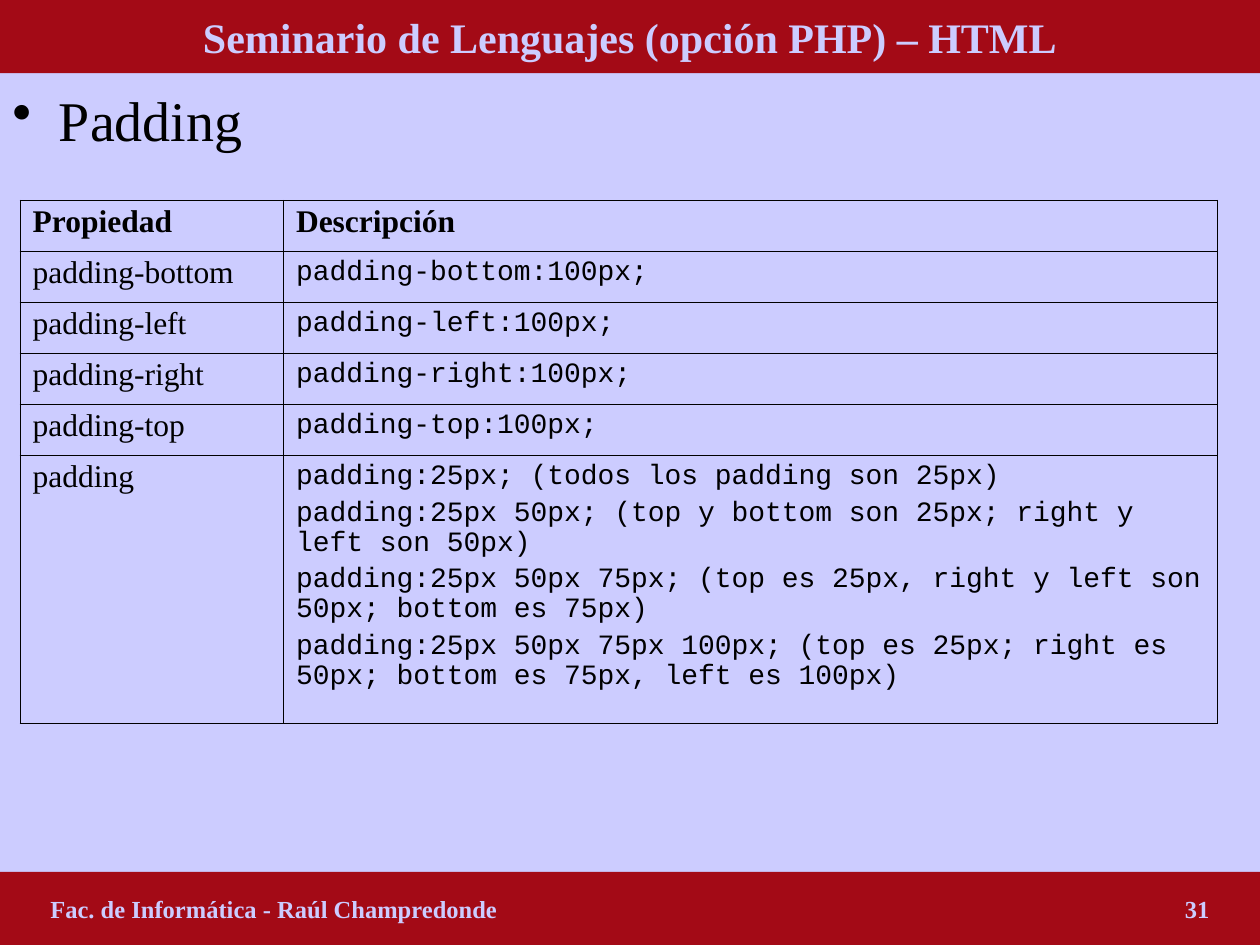
import pptx
import pptx.dml.color
import pptx.enum.shapes
import pptx.enum.text
import pptx.oxml
import pptx.oxml.ns
import pptx.util

Inches = pptx.util.Inches
Pt = pptx.util.Pt
ANCHOR = pptx.enum.text.MSO_ANCHOR
ALIGN = pptx.enum.text.PP_ALIGN

EXAMPLES = [
    "padding:25px; (todos los padding son 25px)",
    "padding:25px 50px; (top y bottom son 25px; right y left son 50px)",
    "padding:25px 50px 75px; (top es 25px, right y left son 50px; bottom es 75px)",
    "padding:25px 50px 75px 100px; (top es 25px; right es 50px; "
    "bottom es 75px, left es 100px)",
]
SIDES = ["bottom", "left", "right", "top"]
PROPERTIES = [(f"padding-{side}", [f"padding-{side}:100px;"]) for side in SIDES]
PROPERTIES.append(("padding", EXAMPLES))


def color(hex_value):
    return pptx.dml.color.RGBColor.from_string(hex_value)


def append_xml(parent, xml):
    namespace = pptx.oxml.ns.nsdecls("a")
    parent.append(pptx.oxml.parse_xml(xml.replace(" ", f" {namespace} ", 1)))


def write(frame, *lines, size, ink="000000", font="Times New Roman", bold=False,
          align=ALIGN.LEFT, spacing=None, before=0, bullet_indent=None, right_tab=None):
    """Fill a text frame with one paragraph per line."""
    frame.word_wrap = True
    for index, line in enumerate(lines):
        paragraph = frame.add_paragraph() if index else frame.paragraphs[0]
        paragraph.alignment = align
        paragraph.line_spacing = spacing
        paragraph.space_before = Pt(before if index else 0)
        properties = paragraph._p.get_or_add_pPr()
        if bullet_indent:
            properties.set("marL", str(bullet_indent))
            properties.set("indent", str(-bullet_indent))
            append_xml(properties, '<a:buChar char="•"/>')
        if right_tab:
            append_xml(properties,
                       f'<a:tabLst ><a:tab pos="{right_tab}" algn="r"/></a:tabLst>')
        run = paragraph.add_run()
        run.text = line
        run.font.size = Pt(size)
        run.font.name = font
        run.font.bold = bold
        run.font.color.rgb = color(ink)


class Seminar:
    background = "CCCCFF"
    bar = "A30A16"
    bar_height = Inches(0.58)
    outer_line = Pt(0.5)
    inner_line = Pt(0.23)

    def __init__(self, deck):
        self.width, self.height = deck.slide_width, deck.slide_height
        self.slide = deck.slides.add_slide(deck.slide_layouts[5])
        self.slide.background.fill.solid()
        self.slide.background.fill.fore_color.rgb = color(self.background)

    def paint_bar(self, shape):
        shape.fill.solid()
        shape.fill.fore_color.rgb = color(self.bar)
        shape.line.fill.background()
        shape.text_frame.vertical_anchor = ANCHOR.MIDDLE
        shape.text_frame.auto_size = pptx.enum.text.MSO_AUTO_SIZE.NONE

    def title(self, text):
        heading = self.slide.shapes.title
        heading.left, heading.top = 0, 0
        heading.width, heading.height = self.width, self.bar_height
        self.paint_bar(heading)
        write(heading.text_frame, text, size=24, ink=self.background, bold=True,
              align=ALIGN.CENTER)

    def footer(self, author, number):
        margin = Inches(0.4)
        footer = self.slide.shapes.add_shape(
            pptx.enum.shapes.MSO_SHAPE.RECTANGLE,
            0, self.height - self.bar_height, self.width, self.bar_height)
        footer.shadow.inherit = False
        self.paint_bar(footer)
        footer.text_frame.margin_left = margin
        write(footer.text_frame, f"{author}\t{number}", size=14, ink=self.background,
              bold=True, right_tab=self.width - 2 * margin)

    def topic(self, text):
        topic = self.slide.shapes.add_textbox(
            0, self.bar_height, self.width, self.height - 2 * self.bar_height)
        topic.text_frame.margin_top = Inches(0.1)
        write(topic.text_frame, text, size=32, bullet_indent=Inches(0.37))

    def border(self, cell, outer_sides):
        for side in "LRTB":
            width = self.outer_line if side in outer_sides else self.inner_line
            append_xml(cell._tc.get_or_add_tcPr(),
                       f'<a:ln{side} w="{width}"><a:solidFill>'
                       f'<a:srgbClr val="000000"/></a:solidFill></a:ln{side}>')

    def property_table(self, headings, properties):
        last = len(properties)
        short_rows, tall_row = Inches(2.02), Inches(2.13)
        table = self.slide.shapes.add_table(
            last + 1, 2, Inches(0.16), Inches(1.59), Inches(9.5),
            short_rows + tall_row).table
        table.first_row = table.horz_banding = False
        table.columns[0].width, table.columns[1].width = Inches(2.09), Inches(7.41)
        for index, row in enumerate(table.rows):
            row.height = tall_row if index == last else short_rows // last
            vertical = "T" if index == 0 else "B" if index == last else ""
            for cell, horizontal in zip(row.cells, "LR"):
                self.border(cell, horizontal + vertical)
                cell.fill.background()
        label = {"size": 18, "spacing": 0.93}
        code = {"size": 16, "spacing": 0.94, "before": 4, "font": "Courier New"}
        for column, heading in enumerate(headings):
            write(table.cell(0, column).text_frame, heading, bold=True, **label)
        for index, (name, examples) in enumerate(properties, 1):
            write(table.cell(index, 0).text_frame, name, **label)
            write(table.cell(index, 1).text_frame, *examples, **code)


def main():
    deck = pptx.Presentation()
    deck.slide_width, deck.slide_height = Inches(10), Inches(7.5)
    seminar = Seminar(deck)
    seminar.topic("Padding")
    seminar.title("Seminario de Lenguajes (opción PHP) – HTML")
    seminar.footer("Fac. de Informática - Raúl Champredonde", 31)
    seminar.property_table(["Propiedad", "Descripción"], PROPERTIES)
    deck.save("out.pptx")


if __name__ == "__main__":
    main()
